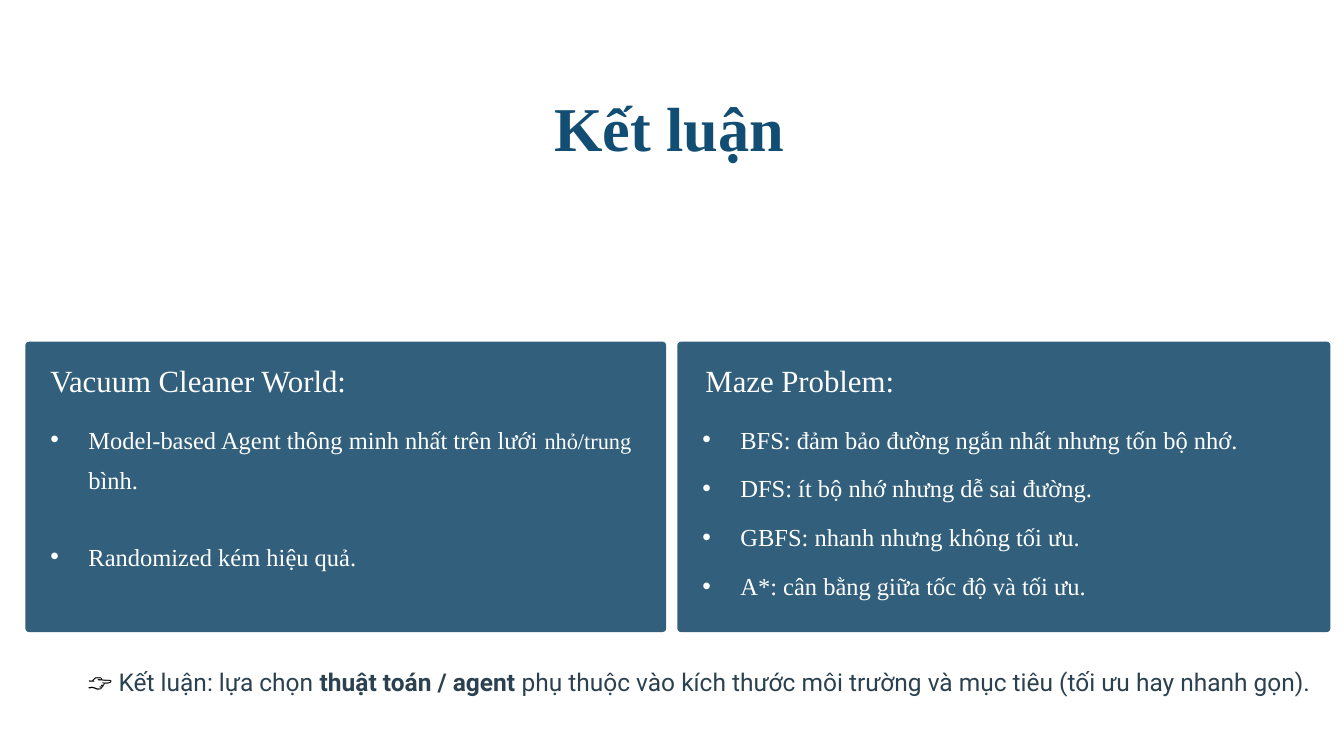
from lxml import etree
from pptx import Presentation
from pptx.dml.color import RGBColor
from pptx.enum import shapes, text
from pptx.oxml.ns import qn
from pptx.util import Cm, Pt

NAVY = RGBColor(0x12, 0x4E, 0x73)
PANEL = RGBColor(0x32, 0x5F, 0x7B)
SLATE = RGBColor(0x2B, 0x41, 0x50)
WHITE = RGBColor(0xFF, 0xFF, 0xFF)
BLACK = RGBColor(0, 0, 0)
SERIF = "Times New Roman"

TITLE = {"size": Pt(44.5), "name": SERIF, "bold": True, "color": NAVY}
HEADING = {"size": Pt(22), "name": SERIF, "color": WHITE}
ITEM = {"size": Pt(17.5), "name": SERIF, "color": WHITE}
NOTE = {"size": Pt(17.5), "name": "Roboto", "color": SLATE}


def write(sp, box, paragraphs, fmt, spacing, gap=0, bullet=False):
    sp.left, sp.top, sp.width, sp.height = [Cm(v) for v in box]
    tf = sp.text_frame
    for key, value in {"margin_left": 0, "margin_top": 0, "margin_right": 0,
                       "margin_bottom": 0, "word_wrap": True,
                       "vertical_anchor": text.MSO_ANCHOR.TOP,
                       "auto_size": text.MSO_AUTO_SIZE.NONE}.items():
        setattr(tf, key, value)
    for i, runs in enumerate(paragraphs):
        p = tf.add_paragraph() if i else tf.paragraphs[0]
        p.alignment = text.PP_ALIGN.LEFT
        p.line_spacing = Pt(spacing)
        p.space_before = Pt(gap if i else 0)
        if bullet:
            pPr = p._p.get_or_add_pPr()
            pPr.set("marL", str(Cm(0.96)))
            pPr.set("indent", str(-Cm(0.96)))
            etree.SubElement(pPr, qn("a:buFont")).set("typeface", "Arial")
            etree.SubElement(pPr, qn("a:buChar")).set("char", "•")
        for words, changes in runs:
            r = p.add_run()
            r.text = words
            for key, value in {**fmt, **changes}.items():
                if key == "color":
                    r.font.color.rgb = value
                else:
                    setattr(r.font, key, value)


prs = Presentation()
prs.slide_width, prs.slide_height = Cm(33.87), Cm(19.05)
s = prs.slides.add_slide(prs.slide_layouts[5])

write(s.shapes.title, (13.97, 2.18, 8, 1.98), [[("Kết luận", {})]], TITLE, 55.5)

panels = [
    (0.64, 16.15, 1.27, 1.27, "Vacuum Cleaner World:", 26.5, [
        [("Model-based Agent thông minh nhất trên lưới ", {}),
         ("nhỏ/trung", {"size": Pt(16)}), (" bình.", {})],
        [("Randomized kém hiệu quả.", {})],
    ]),
    (17.07, 16.46, 17.78, 17.7, "Maze Problem:", 6.3, [
        [("BFS: đảm bảo đường ngắn nhất nhưng tốn bộ nhớ.", {})],
        [("DFS: ít bộ nhớ nhưng dễ sai đường.", {})],
        [("GBFS: nhanh nhưng không tối ưu.", {})],
        [("A*: cân bằng giữa tốc độ và tối ưu.", {})],
    ]),
]
for left, width, heading_left, list_left, heading, gap, items in panels:
    sp = s.shapes.add_shape(shapes.MSO_SHAPE.ROUNDED_RECTANGLE,
                            Cm(left), Cm(8.61), Cm(width), Cm(7.32))
    sp.adjustments[0] = 0.013
    sp.shadow.inherit = False
    sp.fill.solid()
    sp.fill.fore_color.rgb = PANEL
    sp.line.fill.background()
    write(s.shapes.add_textbox(0, 0, 0, 0), (heading_left, 9.07, 10, 1),
          [[(heading, {})]], HEADING, 27.5)
    write(s.shapes.add_textbox(0, 0, 0, 0), (list_left, 10.44, 15.16, 4.9),
          items, ITEM, 28.5, gap, bullet=True)

conclusion = [
    ("👉", {"color": BLACK}),
    (" Kết luận: lựa chọn ", {}),
    ("thuật toán / agent", {"bold": True}),
    (" phụ thuộc vào kích thước môi trường và mục tiêu (tối ưu hay nhanh gọn).", {}),
]
write(s.shapes.add_textbox(0, 0, 0, 0), (2.21, 16.54, 31.6, 1.04),
      [conclusion], NOTE, 28.5)

prs.save("out.pptx")
